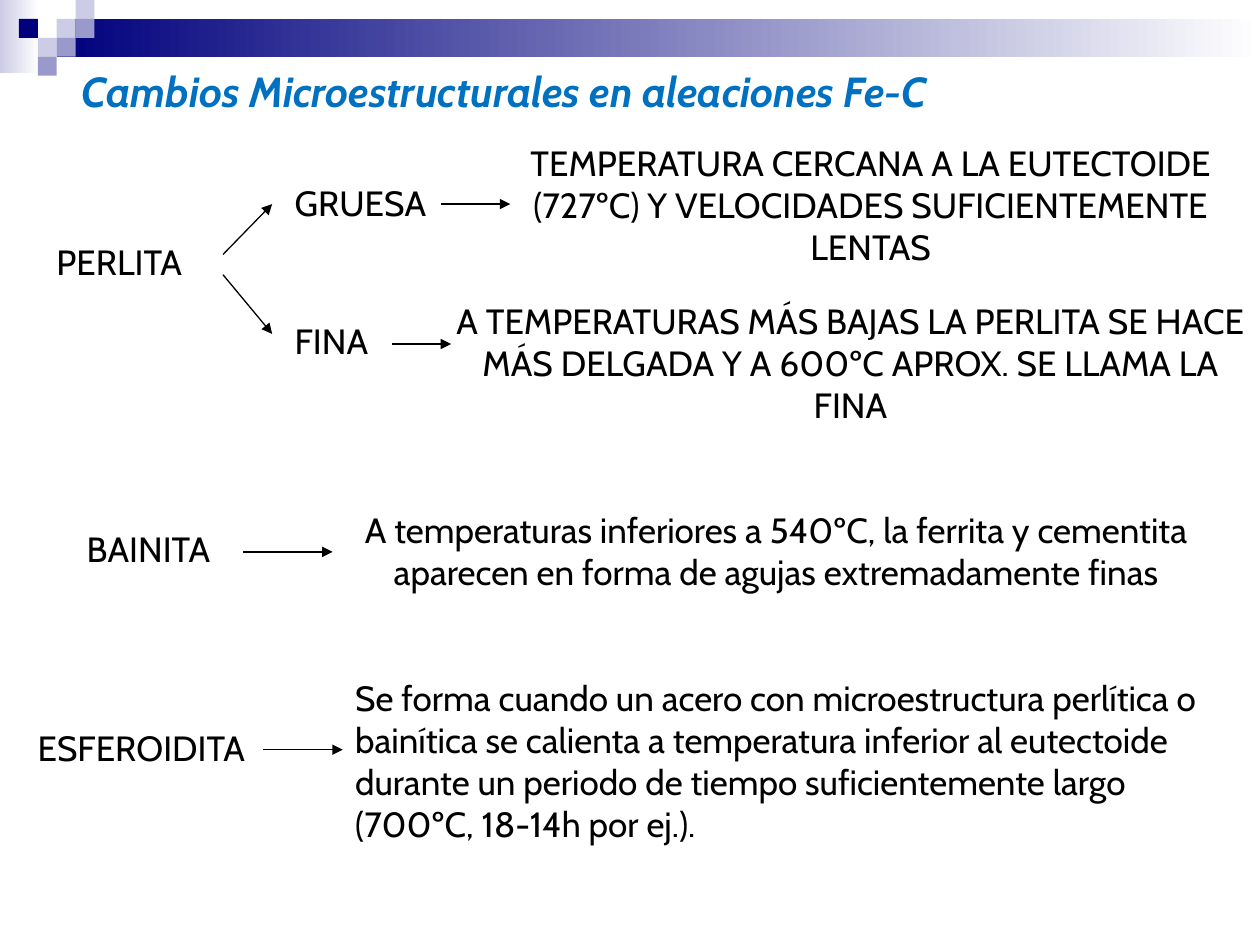
from dataclasses import dataclass
from typing import Any, NamedTuple

import pptx
import pptx.dml.color
import pptx.enum.shapes
import pptx.enum.text
import pptx.oxml
import pptx.oxml.ns
import pptx.util

Inches = pptx.util.Inches
ALIGN = pptx.enum.text.PP_ALIGN


def rgb(value: str) -> pptx.dml.color.RGBColor:
    return pptx.dml.color.RGBColor.from_string(value)


@dataclass(frozen=True)
class Theme:
    font: str = "Cabin"
    title_size: int = 24
    body_size: int = 20
    line_width: float = 0.75
    title: str = "0070C0"
    text: str = "000000"
    navy: str = "00007D"
    violet: str = "9999CC"
    pale: str = "CCCCE6"
    white: str = "FFFFFF"


THEME = Theme()


class Box(NamedTuple):
    left: float
    top: float
    width: float
    height: float


class Label(NamedTuple):
    text: str
    box: Box
    align: Any = ALIGN.LEFT


class Arrow(NamedTuple):
    x1: float
    y1: float
    x2: float
    y2: float


class Square(NamedTuple):
    col: int
    row: int
    color: str


TITLE = Label("Cambios Microestructurales en aleaciones Fe-C", Box(0.55, 0.47, 9.22, 0.5))

LABELS = [
    Label("PERLITA", Box(0.35, 1.86, 1.26, 0.77)),
    Label("GRUESA", Box(2.24, 1.39, 1.34, 0.44)),
    Label("FINA", Box(2.24, 2.49, 0.86, 0.44)),
    Label("BAINITA", Box(0.59, 4.14, 1.34, 0.44)),
    Label("ESFEROIDITA", Box(0.2, 5.72, 2.05, 0.44)),
    Label("TEMPERATURA CERCANA A LA EUTECTOIDE (727ºC) Y VELOCIDADES "
          "SUFICIENTEMENTE LENTAS", Box(3.82, 1.07, 6.18, 1.1), ALIGN.CENTER),
    Label("A TEMPERATURAS MÁS BAJAS LA PERLITA SE HACE MÁS DELGADA Y A 600ºC "
          "APROX. SE LLAMA LA FINA", Box(3.5, 2.33, 6.5, 1.1), ALIGN.CENTER),
    Label("A temperaturas inferiores a 540ºC, la ferrita y cementita aparecen en "
          "forma de agujas extremadamente finas", Box(2.32, 3.99, 7.68, 0.77), ALIGN.CENTER),
    Label("Se forma cuando un acero con microestructura perlítica o bainítica se "
          "calienta a temperatura inferior al eutectoide durante un periodo de tiempo "
          "suficientemente largo (700ºC, 18-14h por ej.).", Box(2.72, 5.32, 7.28, 1.44)),
]

ARROWS = [
    Arrow(1.77, 2.02, 2.16, 1.62),
    Arrow(1.77, 2.18, 2.16, 2.65),
    Arrow(3.5, 1.62, 4.05, 1.62),
    Arrow(3.11, 2.73, 3.58, 2.73),
    Arrow(1.93, 4.38, 2.64, 4.38),
    Arrow(2.09, 5.95, 2.72, 5.95),
]

BANDS = [
    (Box(0, 0, 0.31, 0.58), THEME.pale),
    (Box(0.45, 0.15, 9.55, 0.3), THEME.navy),
]

CELL = 0.15
SQUARES = [
    Square(3, 1, THEME.pale),
    Square(4, 0, THEME.pale),
    Square(4, 1, THEME.violet),
    Square(2, 2, THEME.pale),
    Square(1, 1, THEME.navy),
    Square(3, 2, THEME.violet),
    Square(2, 3, THEME.violet),
]


def set_all(target: Any, values: dict[str, Any]) -> None:
    for name, value in values.items():
        setattr(target, name, value)


def add_rect(s: Any, box: Box) -> Any:
    sp = s.shapes.add_shape(pptx.enum.shapes.MSO_SHAPE.RECTANGLE, *map(Inches, box))
    sp.shadow.inherit = False
    sp.line.fill.background()
    return sp


def add_band(s: Any, box: Box, color: str) -> None:
    fill = add_rect(s, box).fill
    fill.gradient()
    fill.gradient_angle = 0
    for stop, value in zip(fill.gradient_stops, (color, THEME.white)):
        stop.color.rgb = rgb(value)


def add_square(s: Any, square: Square) -> None:
    fill = add_rect(s, Box(square.col * CELL, square.row * CELL, CELL, CELL)).fill
    fill.solid()
    fill.fore_color.rgb = rgb(square.color)


def write(sp: Any, label: Label, size: int, color: str, **style: bool) -> None:
    tf = sp.text_frame
    set_all(tf, {
        "word_wrap": True,
        "auto_size": pptx.enum.text.MSO_AUTO_SIZE.NONE,
        "vertical_anchor": pptx.enum.text.MSO_ANCHOR.TOP,
    })
    p = tf.paragraphs[0]
    p.alignment = label.align
    r = p.add_run()
    r.text = label.text
    set_all(r.font, {"name": THEME.font, "size": pptx.util.Pt(size), **style})
    r.font.color.rgb = rgb(color)


def add_title(s: Any, label: Label) -> None:
    sp = s.shapes.title
    set_all(sp, dict(zip(label.box._fields, map(Inches, label.box))))
    write(sp, label, THEME.title_size, THEME.title, bold=True, italic=True)


def add_label(s: Any, label: Label) -> None:
    sp = s.shapes.add_textbox(*map(Inches, label.box))
    write(sp, label, THEME.body_size, THEME.text)


def add_arrow(s: Any, arrow: Arrow) -> None:
    sp = s.shapes.add_connector(pptx.enum.shapes.MSO_CONNECTOR.STRAIGHT, *map(Inches, arrow))
    sp.line.color.rgb = rgb(THEME.text)
    sp.line.width = pptx.util.Pt(THEME.line_width)
    ns = pptx.oxml.ns.nsdecls("a")
    sp.line._get_or_add_ln().append(pptx.oxml.parse_xml(f'<a:tailEnd {ns} type="triangle"/>'))
    sp._element.spPr.append(pptx.oxml.parse_xml(f"<a:effectLst {ns}/>"))


def main() -> None:
    prs = pptx.Presentation()
    set_all(prs, {"slide_width": Inches(10), "slide_height": Inches(7.5)})
    s = prs.slides.add_slide(prs.slide_layouts.get_by_name("Title Only"))
    for box, color in BANDS:
        add_band(s, box, color)
    for square in SQUARES:
        add_square(s, square)
    add_title(s, TITLE)
    for label in LABELS:
        add_label(s, label)
    for arrow in ARROWS:
        add_arrow(s, arrow)
    prs.save("out.pptx")


if __name__ == "__main__":
    main()
